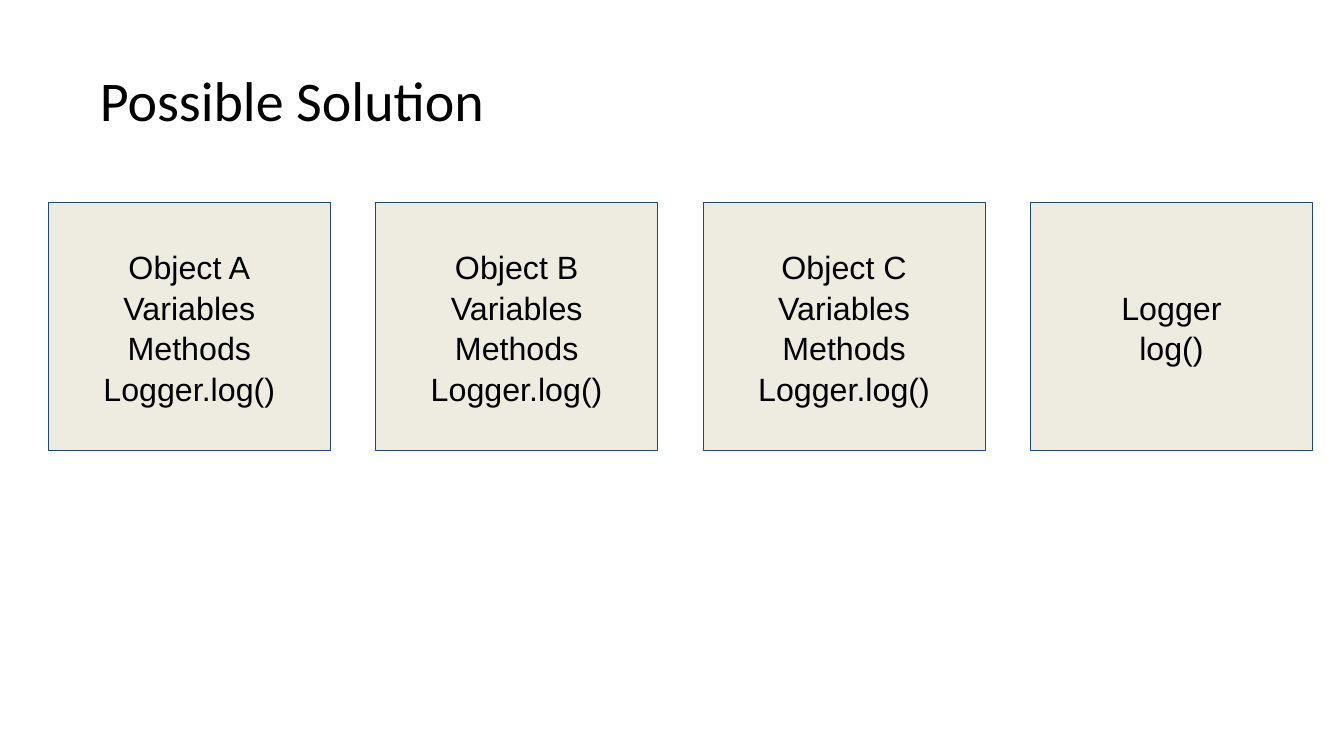
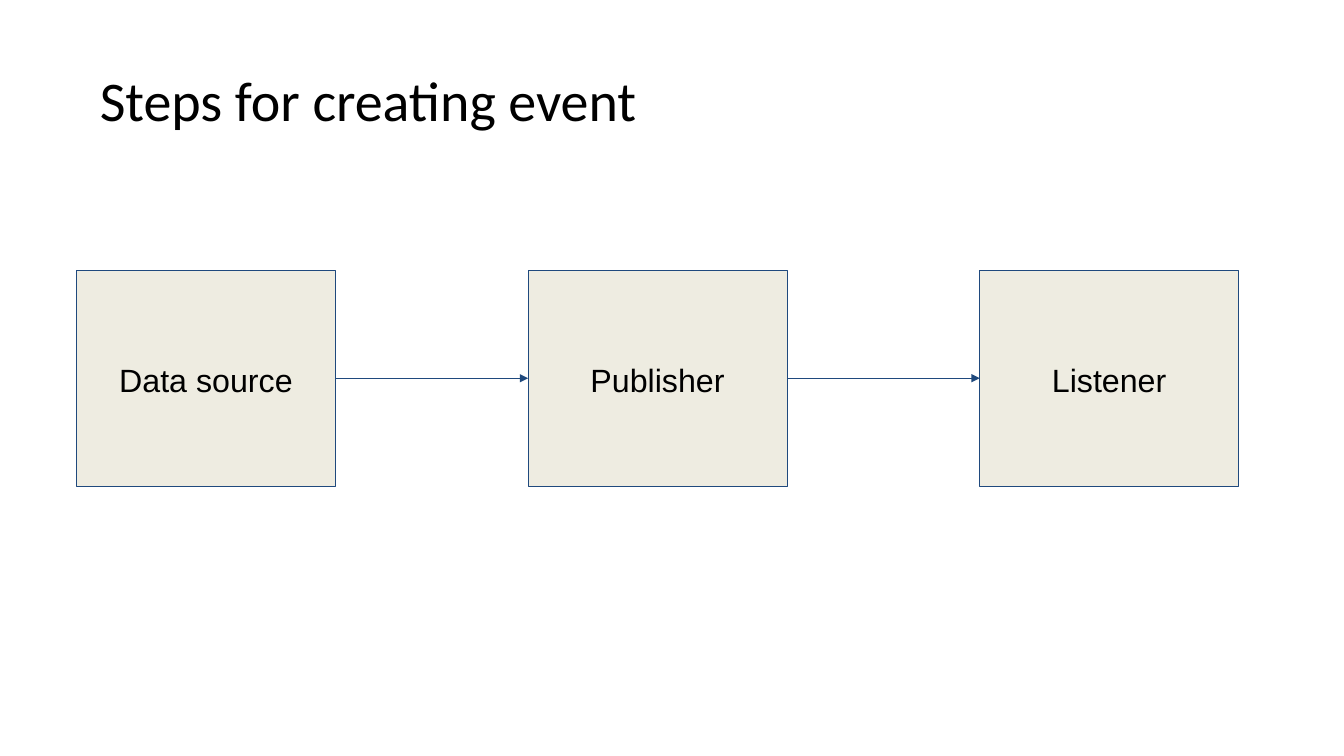
from lxml.etree import SubElement
from pptx import Presentation
from pptx.dml.color import RGBColor
from pptx.enum.shapes import MSO_CONNECTOR, MSO_SHAPE
from pptx.enum.text import MSO_ANCHOR, PP_ALIGN
from pptx.oxml.ns import qn
from pptx.util import Cm, Pt

BLACK = RGBColor(0x00, 0x00, 0x00)
BEIGE = RGBColor(0xEE, 0xEC, 0xE1)
NAVY = RGBColor(0x1F, 0x49, 0x7D)
LINE_WIDTH = Pt(0.75)
TITLE_ONLY = 5
RIGHT_SIDE, LEFT_SIDE = 3, 1


def format_text(frame, font_name, size, alignment):
    frame.word_wrap = True
    frame.vertical_anchor = MSO_ANCHOR.MIDDLE
    for paragraph in frame.paragraphs:
        paragraph.alignment = alignment
        for run in paragraph.runs:
            run.font.name = font_name
            run.font.size = Pt(size)
            run.font.color.rgb = BLACK


def add_titled_slide(deck, heading):
    slide = deck.slides.add_slide(deck.slide_layouts[TITLE_ONLY])
    title = slide.shapes.title
    title.left, title.top = Cm(2.26), Cm(1.02)
    title.width, title.height = Cm(29.5), Cm(2.95)
    title.text_frame.text = heading
    format_text(title.text_frame, "Calibri", 40, PP_ALIGN.LEFT)
    return slide


def add_box(slide, lines, left, top, width, height):
    box = slide.shapes.add_shape(MSO_SHAPE.RECTANGLE, left, top, width, height)
    box.shadow.inherit = False
    box.fill.solid()
    box.fill.fore_color.rgb = BEIGE
    box.line.color.rgb = NAVY
    box.line.width = LINE_WIDTH
    frame = box.text_frame
    frame.margin_left = frame.margin_right = Cm(0.25)
    frame.margin_top = frame.margin_bottom = Cm(0.25)
    frame.text = "\n".join(lines)
    format_text(frame, "Arial", 23, PP_ALIGN.CENTER)
    for paragraph in frame.paragraphs:
        paragraph.line_spacing = 1.05
    return box


def add_box_row(slide, contents, left, top, width, height, gap):
    """Place equal boxes from left to right and return them."""
    return [
        add_box(slide, lines, left + index * (width + gap), top, width, height)
        for index, lines in enumerate(contents)
    ]


def add_arrow(slide, source, target):
    """Join the right side of source to the left side of target."""
    arrow = slide.shapes.add_connector(MSO_CONNECTOR.STRAIGHT, 0, 0, 0, 0)
    arrow.begin_connect(source, RIGHT_SIDE)
    arrow.end_connect(target, LEFT_SIDE)
    arrow.line.color.rgb = NAVY
    arrow.line.width = LINE_WIDTH
    SubElement(arrow.line._get_or_add_ln(), qn("a:tailEnd"), type="triangle")
    SubElement(arrow._element.spPr, qn("a:effectLst"))


def build_solution(deck):
    slide = add_titled_slide(deck, "Possible Solution")
    contents = [
        [f"Object {letter}", "Variables", "Methods", "Logger.log()"]
        for letter in "ABC"
    ]
    contents.append(["Logger", "log()"])
    add_box_row(slide, contents, left=Cm(1.22), top=Cm(5.11),
                width=Cm(7.11), height=Cm(6.25), gap=Cm(1.14))


def build_event_steps(deck):
    slide = add_titled_slide(deck, "Steps for creating event")
    contents = [["Data source"], ["Publisher"], ["Listener"]]
    steps = add_box_row(slide, contents, left=Cm(1.93), top=Cm(6.81),
                        width=Cm(6.53), height=Cm(5.44), gap=Cm(4.85))
    for source, target in zip(steps, steps[1:]):
        add_arrow(slide, source, target)


def main():
    deck = Presentation()
    deck.slide_width, deck.slide_height = Cm(33.87), Cm(19.05)
    build_solution(deck)
    build_event_steps(deck)
    deck.save("out.pptx")


if __name__ == "__main__":
    main()
